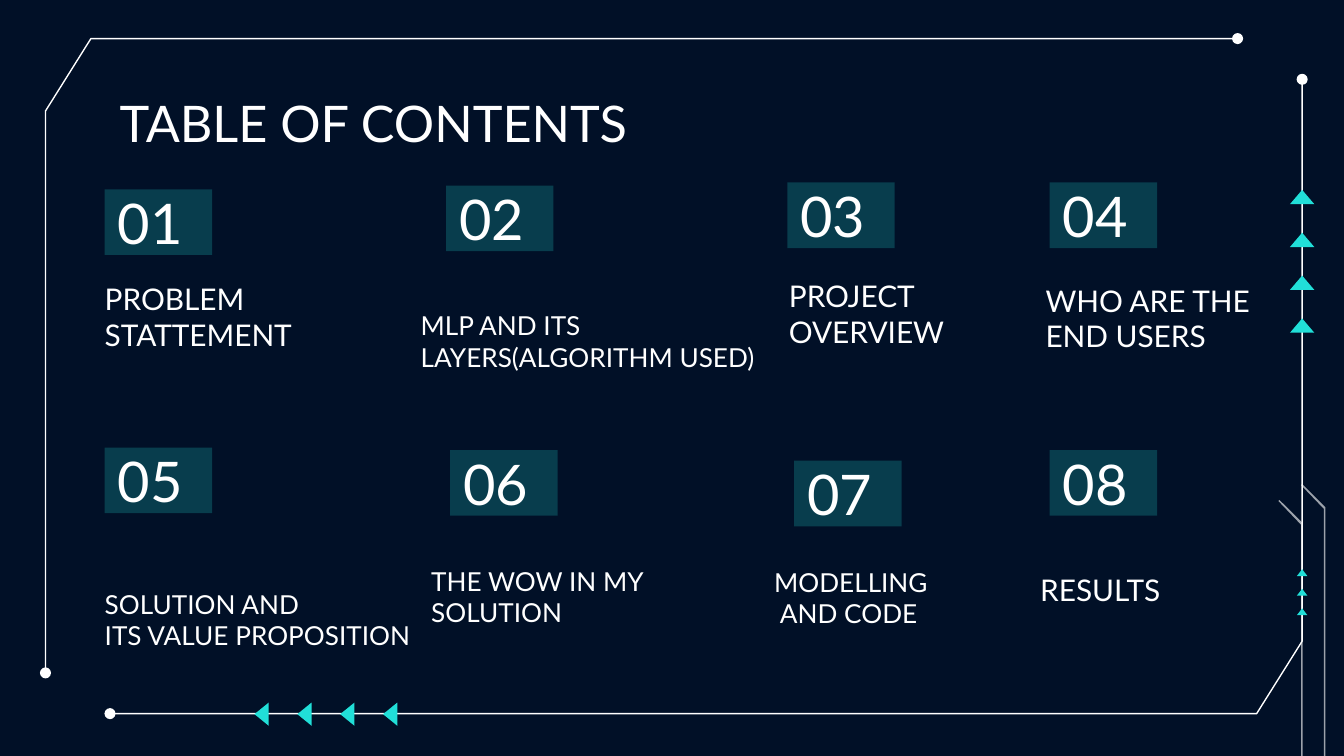
from lxml.etree import SubElement
from pptx import Presentation
from pptx.dml.color import RGBColor
from pptx.enum.shapes import MSO_SHAPE
from pptx.enum.text import MSO_ANCHOR, PP_ALIGN
from pptx.oxml.ns import qn
from pptx.util import Cm, Pt

WHITE, CYAN, NAVY = "FFFFFF", "21DFD8", "011027"
TOP, MID, LOW = MSO_ANCHOR.TOP, MSO_ANCHOR.MIDDLE, MSO_ANCHOR.BOTTOM


def paint(fill, tone, alpha=100):
    fill.solid()
    fill.fore_color.rgb = RGBColor.from_string(tone)
    if alpha < 100:
        node = fill._xPr.find(qn("a:solidFill"))[0]
        SubElement(node, qn("a:alpha")).set("val", str(alpha * 1000))


class Board:
    font = {"name": "Lato", "bold": False}
    frame = {"word_wrap": True, "margin_left": Cm(0.25), "margin_right": Cm(0.25),
             "margin_top": Cm(0.25), "margin_bottom": Cm(0.25)}

    def __init__(self, slide):
        self.slide = slide
        self.shapes = slide.shapes
        paint(slide.background.fill, NAVY)

    def letter(self, shape, lines, size, anchor):
        frame = shape.text_frame
        for key, value in {**self.frame, "vertical_anchor": anchor}.items():
            setattr(frame, key, value)
        frame.text = "\n".join(lines)
        for par in frame.paragraphs:
            par.alignment = PP_ALIGN.LEFT
            for key, value in {**self.font, "size": Pt(size)}.items():
                setattr(par.font, key, value)
            paint(par.font.fill, WHITE)

    def text(self, box, lines, size, anchor=LOW):
        shape = self.shapes.add_textbox(*map(Cm, box))
        self.letter(shape, lines, size, anchor)

    def badge(self, x, y, label):
        shape = self.shapes.add_shape(MSO_SHAPE.RECTANGLE, Cm(x), Cm(y), Cm(2.03), Cm(1.24))
        shape.shadow.inherit = False
        paint(shape.fill, CYAN, 22)
        shape.line.fill.background()
        self.letter(shape, [label], 30, MID)

    def outline(self, points, close):
        first, *rest = [(Cm(x), Cm(y)) for x, y in points]
        pen = self.shapes.build_freeform(*first)
        pen.add_line_segments(rest, close=close)
        shape = pen.convert_to_shape()
        shape.shadow.inherit = False
        return shape

    def solid(self, points, tone, alpha=100):
        shape = self.outline(points, True)
        paint(shape.fill, tone, alpha)
        shape.line.fill.background()

    def wire(self, points):
        shape = self.outline(points, False)
        shape.fill.background()
        shape.line.width = Pt(0.75)
        paint(shape.line.fill, WHITE)
        for end in ("a:headEnd", "a:tailEnd"):
            SubElement(shape.line._ln, qn(end)).set("type", "oval")

    def arrow(self, y, half, tall):
        x = 24.61
        self.solid([(x - half, y), (x + half, y), (x, y - tall)], CYAN)


ITEMS = [
    ("01", 1.98, 3.58, (1.73, 5.18, 6.71, 1.73), 16, ["PROBLEM STATTEMENT"]),
    ("02", 8.43, 3.51, (7.7, 4.75, 6.96, 2.54), 14, ["MLP AND ITS LAYERS(ALGORITHM USED)"]),
    ("03", 14.88, 3.45, (14.66, 5.23, 6.5, 1.63), 16, ["PROJECT", "OVERVIEW"]),
    ("04", 19.84, 3.45, (19.51, 5.31, 4.75, 1.63), 16, ["WHO ARE THE", "END USERS"]),
    ("05", 1.98, 8.46, (1.73, 9.98, 6.48, 2.57), 14, ["SOLUTION AND", "ITS VALUE PROPOSITION"]),
    ("06", 8.51, 8.51, (7.9, 10.39, 5.28, 1.73), 14, ["THE WOW IN MY SOLUTION"]),
    ("07", 15.01, 8.71, (14.38, 10.08, 6.48, 2.06), 14, ["MODELLING", " AND CODE"]),
    ("08", 19.84, 8.51, (19.41, 10.49, 3.2, 1.24), 16, ["RESULTS"]),
]


def main():
    deck = Presentation()
    deck.slide_width, deck.slide_height = Cm(25.4), Cm(14.29)
    board = Board(deck.slides.add_slide(deck.slide_layouts[6]))

    edge = [(24.61, 1.5), (24.61, 12.12), (23.75, 13.49), (2.08, 13.49)]
    board.wire(edge)
    board.wire([(25.47 - x, 14.22 - y) for x, y in edge])

    for i in range(4):
        x = 5.08 + 0.81 * i
        board.solid([(x, 13.72), (x, 13.28), (x - 0.27, 13.5)], CYAN)
        board.arrow(3.86 + 0.81 * i, 0.23, 0.27)

    for dx, dy in ((0, 0), (0.43, -0.3)):
        rail = [(24.16, 9.47 + dy), (24.18, 9.45 + dy), (24.62, 9.89 + dy),
                (24.62, 14.29), (24.59, 14.29), (24.59, 9.92 + dy)]
        board.solid([(x + dx, y) for x, y in rail], WHITE, 61)

    for i in range(3):
        board.arrow(10.89 + 0.37 * i, 0.1, 0.13)

    board.text((2.01, 1.5, 21.41, 1.6), ["TABLE OF CONTENTS"], 27, TOP)
    for label, x, y, box, size, lines in ITEMS:
        board.badge(x, y, label)
        board.text(box, lines, size)

    deck.save("out.pptx")


if __name__ == "__main__":
    main()
